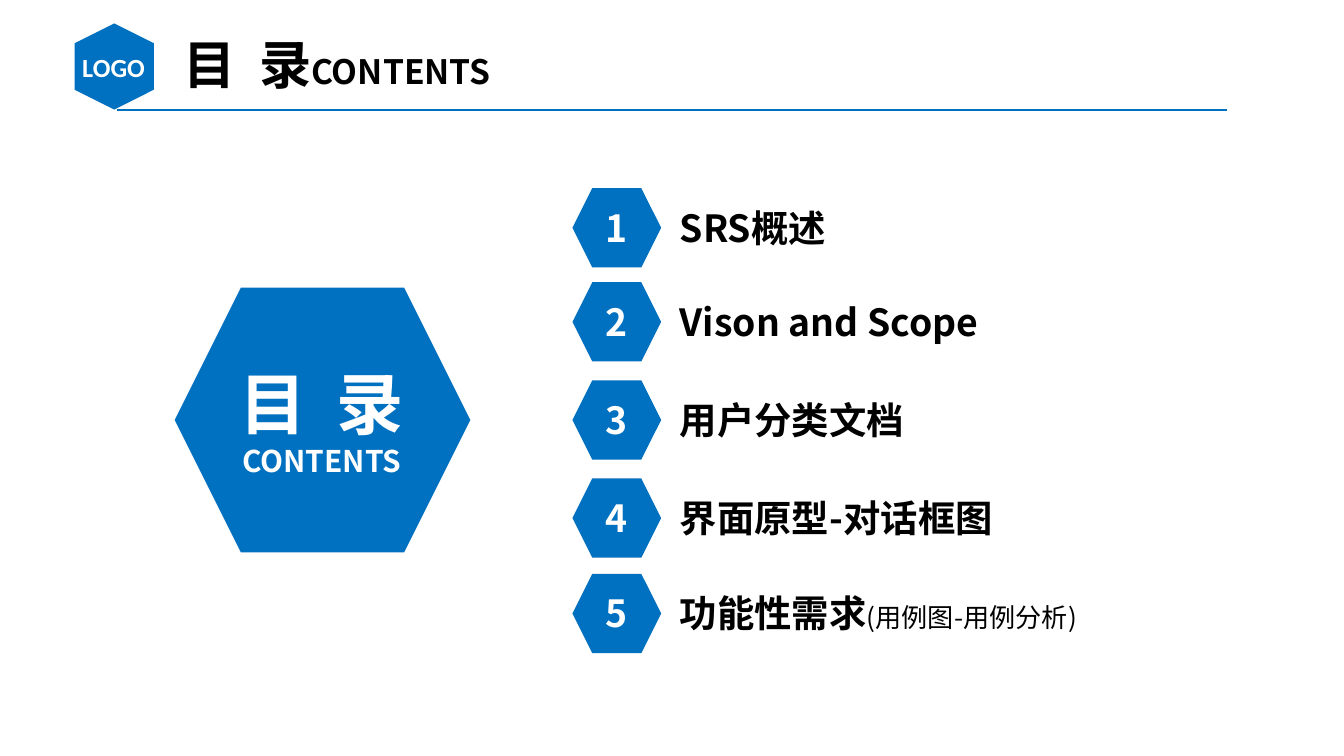
from lxml import etree
from pptx import Presentation
from pptx.dml.color import RGBColor
from pptx.enum.shapes import MSO_CONNECTOR, MSO_SHAPE
from pptx.enum.text import MSO_ANCHOR, PP_ALIGN
from pptx.oxml.ns import qn
from pptx.util import Inches, Pt

BLUE = RGBColor(0x00, 0x70, 0xC0)
WHITE = RGBColor(0xFF, 0xFF, 0xFF)
BLACK = RGBColor(0x00, 0x00, 0x00)
CJK_FONT = "Noto Sans CJK SC"
LOGO_FONT = "Calibri"

# Top of each row, heading, small note
ITEMS = [
    (1.40, "SRS概述", ""),
    (2.10, "Vison and Scope", ""),
    (2.83, "用户分类文档", ""),
    (3.56, "界面原型-对话框图", ""),
    (4.27, "功能性需求", "(用例图-用例分析)"),
]


def add_block(slide, kind, x, y, w, h, rotation=0):
    s = slide.shapes.add_shape(kind, Inches(x), Inches(y), Inches(w), Inches(h))
    s.shadow.inherit = False
    s.fill.solid()
    s.fill.fore_color.rgb = BLUE
    s.line.fill.background()
    s.rotation = rotation
    return s


def add_rule(slide, x1, x2, y):
    s = slide.shapes.add_connector(
        MSO_CONNECTOR.STRAIGHT, Inches(x1), Inches(y), Inches(x2), Inches(y))
    s.line.color.rgb = BLUE
    s.line.width = Pt(0.75)
    etree.SubElement(s._element.spPr, qn("a:effectLst"))


def add_run(p, text, size, color, bold=True, font=CJK_FONT, spacing=0):
    r = p.add_run()
    r.text = text
    r.font.size = Pt(size)
    r.font.bold = bold
    r.font.color.rgb = color
    r.font.name = font
    rPr = r._r.get_or_add_rPr()
    etree.SubElement(rPr, qn("a:ea")).set("typeface", font)
    if spacing:
        rPr.set("spc", str(spacing * 100))


def add_title(p, size, color, spacing):
    """Write the two title characters with a wide gap between them."""
    add_run(p, "目 ", size, color, spacing=spacing)
    add_run(p, "录", size, color)


def set_frame(s, align, wrap):
    tf = s.text_frame
    tf.word_wrap = wrap
    tf.vertical_anchor = MSO_ANCHOR.MIDDLE
    tf.paragraphs[0].alignment = align
    return tf


def add_text_box(slide, x, y, w, h, align=PP_ALIGN.LEFT, wrap=True):
    s = slide.shapes.add_textbox(Inches(x), Inches(y), Inches(w), Inches(h))
    return set_frame(s, align, wrap)


def add_header(slide):
    add_rule(slide, 0.87, 9.13, 0.82)
    add_block(slide, MSO_SHAPE.HEXAGON, 0.53, 0.2, 0.64, 0.59, rotation=90)
    tf = add_text_box(slide, 0.49, 0.33, 0.71, 0.34, PP_ALIGN.CENTER, wrap=False)
    add_run(tf.paragraphs[0], "LOGO", 14, WHITE, font=LOGO_FONT)
    p = add_text_box(slide, 1.27, 0.19, 2.87, 0.57).paragraphs[0]
    add_title(p, 28, BLACK, spacing=3)
    add_run(p, "CONTENTS", 18, BLACK)


def add_badge(slide):
    add_block(slide, MSO_SHAPE.HEXAGON, 1.3, 2.14, 2.2, 1.97)
    tf = add_text_box(slide, 1.53, 2.64, 1.73, 0.98, PP_ALIGN.CENTER)
    add_title(tf.paragraphs[0], 36, WHITE, spacing=4)
    p = tf.add_paragraph()
    p.alignment = PP_ALIGN.CENTER
    add_run(p, "CONTENTS", 16, WHITE)


def add_item(slide, number, top, heading, note):
    text_top = top + 0.07
    add_block(slide, MSO_SHAPE.HEXAGON, 4.26, top, 0.66, 0.59)
    s = add_block(slide, MSO_SHAPE.RECTANGLE, 4.43, text_top, 0.31, 0.44)
    tf = set_frame(s, PP_ALIGN.CENTER, wrap=False)
    add_run(tf.paragraphs[0], str(number), 20, WHITE)
    p = add_text_box(slide, 4.96, text_top, 3.66, 0.44).paragraphs[0]
    add_run(p, heading, 20, BLACK)
    if note:
        add_run(p, note, 14, BLACK, bold=False)


def main():
    prs = Presentation()
    # Widescreen, 16:9
    prs.slide_width = Inches(10)
    prs.slide_height = prs.slide_width * 9 // 16
    slide = prs.slides.add_slide(prs.slide_layouts[6])

    # Title bar and large badge
    add_header(slide)
    add_badge(slide)

    # Numbered contents
    for number, item in enumerate(ITEMS, start=1):
        add_item(slide, number, *item)

    prs.save("out.pptx")


if __name__ == "__main__":
    main()
